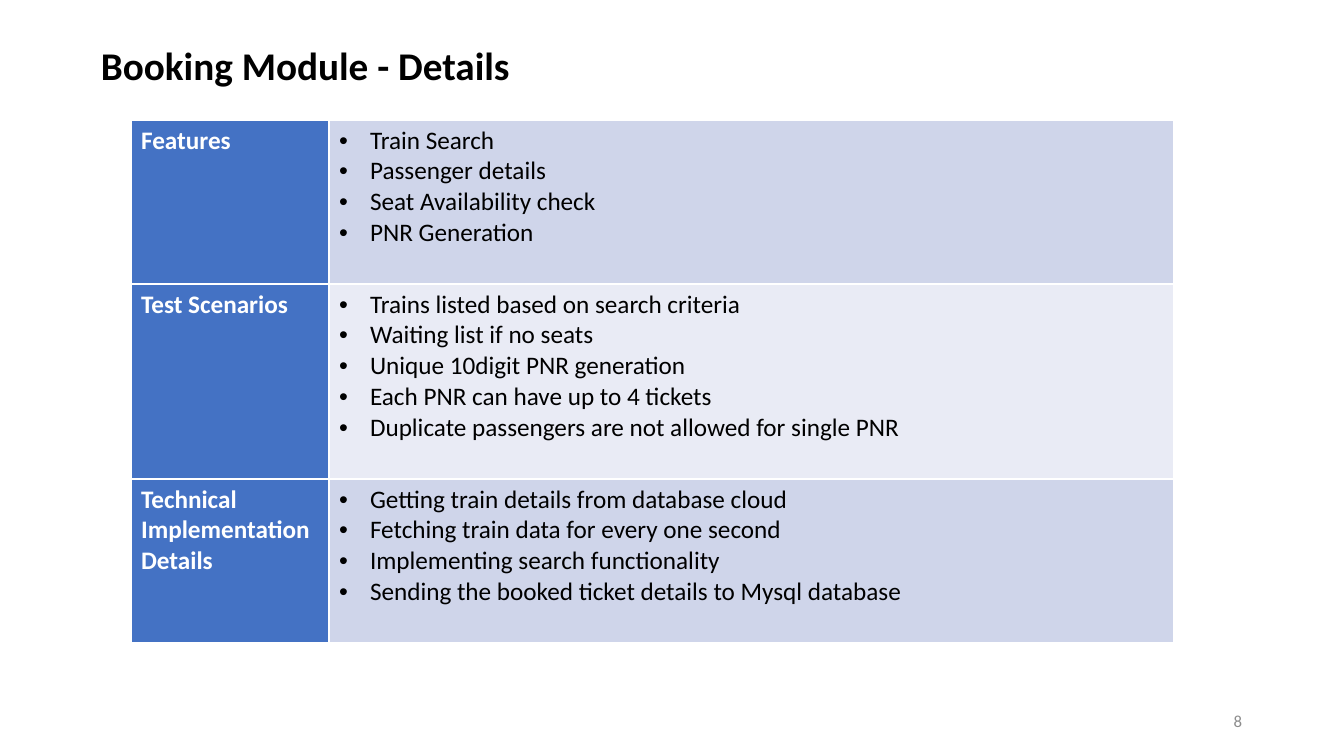
from lxml import etree
from pptx import Presentation
from pptx.dml.color import RGBColor
from pptx.enum.text import MSO_ANCHOR, PP_ALIGN
from pptx.oxml.ns import qn
from pptx.util import Pt

PX = 914400 / 100.8
BLACK = RGBColor(0x00, 0x00, 0x00)
WHITE = RGBColor(0xFF, 0xFF, 0xFF)
GRAY = RGBColor(0x8C, 0x8C, 0x8C)
BLUE = RGBColor(0x44, 0x72, 0xC4)
BAND_FILLS = [RGBColor(0xCF, 0xD5, 0xEA), RGBColor(0xE9, 0xEB, 0xF5)]
TOP, MIDDLE = MSO_ANCHOR.TOP, MSO_ANCHOR.MIDDLE
LEFT, RIGHT = PP_ALIGN.LEFT, PP_ALIGN.RIGHT
BULLET_INDENT = 31

COLUMN_WIDTHS = [198, 845]
SECTIONS = [
    ("Features", 164, [
        "Train Search",
        "Passenger details",
        "Seat Availability check",
        "PNR Generation",
    ]),
    ("Test Scenarios", 195, [
        "Trains listed based on search criteria",
        "Waiting list if no seats",
        "Unique 10digit PNR generation",
        "Each PNR can have up to 4 tickets",
        "Duplicate passengers are not allowed for single PNR",
    ]),
    ("Technical Implementation Details", 164, [
        "Getting train details from database cloud",
        "Fetching train data for every one second",
        "Implementing search functionality",
        "Sending the booked ticket details to Mysql database",
    ]),
]


def px(length):
    return round(length * PX)


def format_font(font, size, color, bold=False):
    font.name = "Calibri"
    font.size = Pt(size)
    font.bold = bold
    font.color.rgb = color


presentation = Presentation()
presentation.slide_width = px(1344)
presentation.slide_height = px(756)
slide = presentation.slides.add_slide(presentation.slide_layouts[6])

for text, box, anchor, alignment, spacing, size, color, bold in [
    ("Booking Module - Details", (91, 42, 1067, 67), TOP, LEFT, 0.9, 28, BLACK, True),
    ("8", (950, 701, 302, 40), MIDDLE, RIGHT, 1.0, 12, GRAY, False),
]:
    text_frame = slide.shapes.add_textbox(*map(px, box)).text_frame
    text_frame.word_wrap = True
    text_frame.vertical_anchor = anchor
    text_frame.text = text
    paragraph = text_frame.paragraphs[0]
    paragraph.alignment = alignment
    paragraph.line_spacing = spacing
    format_font(paragraph.runs[0].font, size, color, bold)

table_height = sum(height for _, height, _ in SECTIONS)
table = slide.shapes.add_table(
    len(SECTIONS), len(COLUMN_WIDTHS),
    px(131), px(120), px(sum(COLUMN_WIDTHS)), px(table_height),
).table
table.first_row = False
table.first_col = True
for column, width in zip(table.columns, COLUMN_WIDTHS):
    column.width = px(width)

for row_index, (heading, height, items) in enumerate(SECTIONS):
    table.rows[row_index].height = px(height)
    heading_cell = table.cell(row_index, 0)
    heading_cell.text_frame.text = heading
    format_font(heading_cell.text_frame.paragraphs[0].runs[0].font, 18, WHITE, True)

    items_cell = table.cell(row_index, 1)
    items_cell.text_frame.text = "\n".join(items)
    for paragraph in items_cell.text_frame.paragraphs:
        properties = paragraph._p.get_or_add_pPr()
        properties.set("marL", str(px(BULLET_INDENT)))
        properties.set("indent", str(-px(BULLET_INDENT)))
        etree.SubElement(properties, qn("a:buFont"), typeface="Arial")
        etree.SubElement(properties, qn("a:buChar"), char="•")
        format_font(paragraph.runs[0].font, 18, BLACK)

    for cell, fill in [(heading_cell, BLUE), (items_cell, BAND_FILLS[row_index % 2])]:
        cell_properties = cell._tc.get_or_add_tcPr()
        for side in ("a:lnL", "a:lnR", "a:lnT", "a:lnB"):
            border = etree.SubElement(cell_properties, qn(side), w=str(Pt(1)))
            border_fill = etree.SubElement(border, qn("a:solidFill"))
            etree.SubElement(border_fill, qn("a:srgbClr"), val=str(WHITE))
        cell.fill.solid()
        cell.fill.fore_color.rgb = fill

presentation.save("out.pptx")
